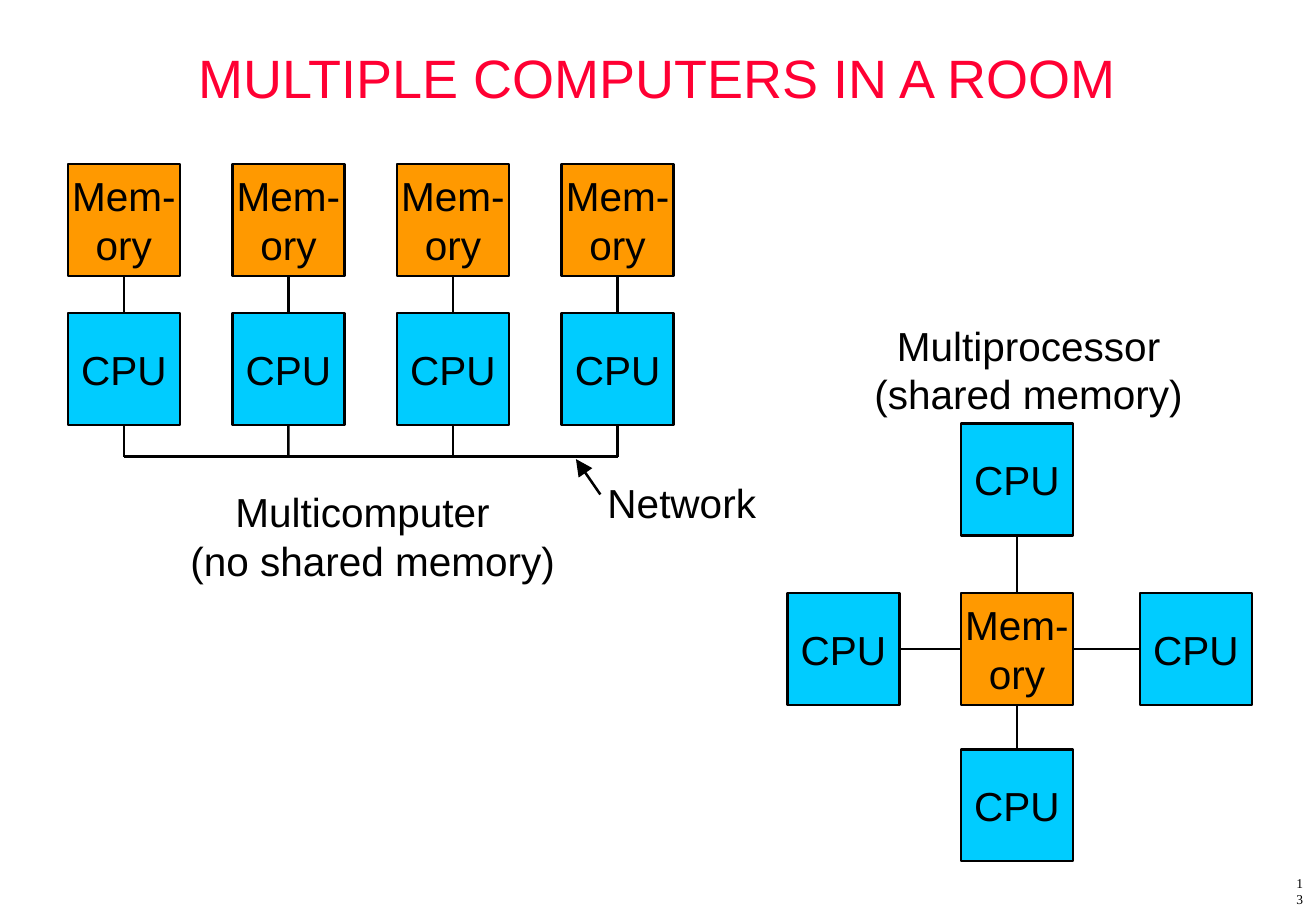
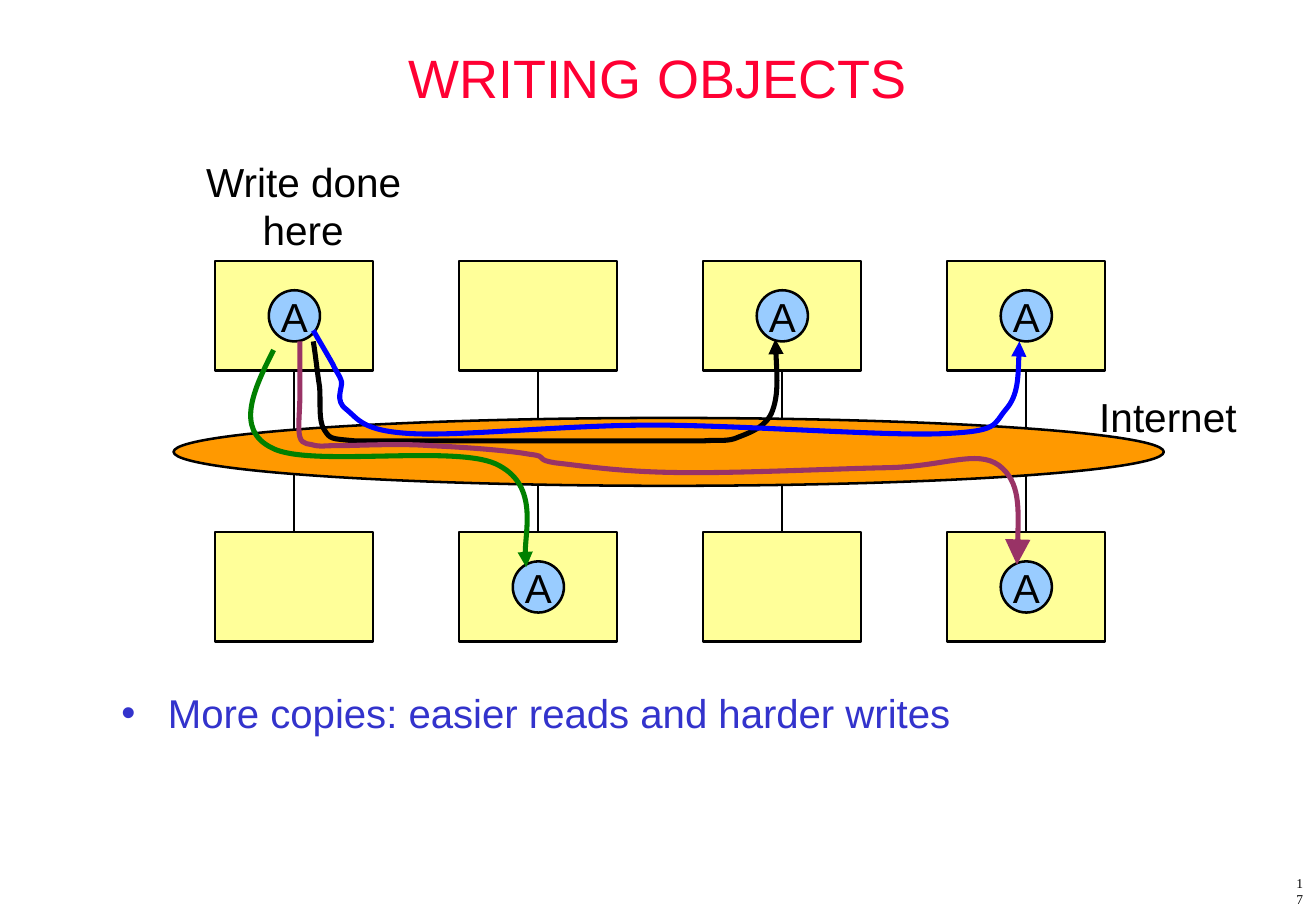
from dataclasses import dataclass
from typing import Any

from lxml import etree
from pptx import Presentation
from pptx import util as u
from pptx.dml.color import RGBColor
from pptx.enum import shapes, text
from pptx.oxml import ns

COLORS = {
    "title": "FF0033", "ink": "000000", "bullet": "3333CC",
    "cpu": "00CCFF", "memory": "FF9900", "internet": "FF9900",
    "node": "FFFF99", "object": "99CCFF",
    "green": "008000", "blue": "0000FF", "purple": "993366",
}
SANS, SERIF = "Arial", "Times New Roman"
BOX = 2.34
CPU, MEMORY = ["CPU"], ["Mem-", "ory"]
Point = tuple[float, float]


@dataclass
class Label:
    lines: list[str]
    left: float
    top: float
    width: float
    height: float
    first_indent: float = 0
    last_indent: float = 0


@dataclass
class Route:
    color: str
    head: str
    points: list[Point]


ROUTES = [
    Route("green", "med", [
        (5.72, 7.32), (5.31, 8.13), (4.9, 8.99), (5.69, 9.37),
        (6.45, 9.78), (9.47, 9.3), (10.36, 9.7),
        (11.25, 10.11), (10.9, 11.51), (11, 11.86)]),
    Route("ink", "med", [
        (6.55, 7.14), (6.6, 7.44), (6.63, 7.77), (6.68, 8.08),
        (6.71, 8.38), (6.65, 8.81), (6.78, 8.99),
        (6.91, 9.19), (6.91, 9.17), (7.42, 9.22),
        (9.85, 9.22), (12.28, 9.22), (14.71, 9.22),
        (15.01, 9.19), (15.21, 9.25), (15.44, 9.14),
        (15.7, 9.04), (16.03, 8.92), (16.15, 8.59),
        (16.28, 8.23), (16.23, 7.67), (16.21, 7.09)]),
    Route("blue", "med", [
        (6.55, 6.91), (6.71, 7.19), (6.86, 7.44), (6.96, 7.62),
        (7.04, 7.8), (7.09, 7.82), (7.14, 7.98),
        (7.16, 8.13), (6.99, 8.38), (7.24, 8.56),
        (7.49, 8.76), (7.57, 9.02), (8.64, 9.07),
        (9.7, 9.12), (11.81, 8.89), (13.64, 8.89),
        (15.49, 8.89), (18.47, 9.12), (19.69, 9.07),
        (20.9, 9.02), (20.75, 8.89), (21.03, 8.56),
        (21.29, 8.26), (21.29, 7.7), (21.31, 7.14)]),
    Route("purple", "lg", [
        (6.27, 7.14), (6.27, 7.52), (6.27, 7.92), (6.27, 8.26),
        (6.27, 8.59), (6.22, 8.97), (6.27, 9.14),
        (6.32, 9.32), (6.48, 9.27), (6.6, 9.32),
        (6.73, 9.35), (6.65, 9.32), (7.06, 9.32),
        (7.47, 9.32), (8.33, 9.27), (8.99, 9.32),
        (9.68, 9.35), (10.64, 9.42), (11.07, 9.5),
        (11.51, 9.55), (11.13, 9.6), (11.61, 9.68),
        (12.09, 9.73), (12.88, 9.86), (14.05, 9.88),
        (15.21, 9.91), (17.45, 9.8), (18.59, 9.78),
        (19.74, 9.75), (20.42, 9.4), (20.88, 9.73),
        (21.34, 10.08), (21.29, 10.95), (21.26, 11.81)]),
]


def rgb(name: str) -> RGBColor:
    return RGBColor.from_string(COLORS[name])


def style_line(line: Any, color: str = "ink", width: float = 1.5) -> None:
    line.color.rgb = rgb(color)
    line.width = u.Pt(width)


def add_arrowhead(line: Any, size: str) -> None:
    etree.SubElement(line._get_or_add_ln(), ns.qn("a:tailEnd"),
                     type="triangle", w=size, len=size)


def write(frame: Any, lines: list[str], size: float = 24, color: str = "ink",
          font: str = SANS, align: Any = text.PP_ALIGN.CENTER) -> None:
    for number, line in enumerate(lines):
        paragraph = frame.add_paragraph() if number else frame.paragraphs[0]
        paragraph.text = line
        paragraph.alignment = align
        paragraph.font.size = u.Pt(size)
        paragraph.font.name = font
        paragraph.font.color.rgb = rgb(color)


def add_frame(slide: Any, left: float, top: float, width: float,
              height: float, wrap: bool = True) -> Any:
    frame = slide.shapes.add_textbox(
        u.Cm(left), u.Cm(top), u.Cm(width), u.Cm(height)).text_frame
    frame.word_wrap = wrap
    return frame


def add_label(slide: Any, label: Label) -> None:
    frame = add_frame(slide, label.left, label.top, label.width, label.height, False)
    write(frame, label.lines, align=text.PP_ALIGN.LEFT)
    for position, indent in [(0, label.first_indent), (-1, label.last_indent)]:
        if indent:
            properties = frame.paragraphs[position]._p.get_or_add_pPr()
            properties.set("marL", str(u.Cm(indent)))


def add_block(slide: Any, left: float, top: float, width: float, height: float,
              fill: str, lines: list[str] | None = None,
              outline: Any = shapes.MSO_SHAPE.RECTANGLE) -> Any:
    block = slide.shapes.add_shape(
        outline, u.Cm(left), u.Cm(top), u.Cm(width), u.Cm(height))
    block.shadow.inherit = False
    block.fill.solid()
    block.fill.fore_color.rgb = rgb(fill)
    style_line(block.line)
    if lines:
        block.text_frame.word_wrap = False
        block.text_frame.vertical_anchor = text.MSO_ANCHOR.MIDDLE
        write(block.text_frame, lines)
    return block


def add_cpu(slide: Any, left: float, top: float) -> Any:
    return add_block(slide, left, top, BOX, BOX, "cpu", CPU)


def add_memory(slide: Any, left: float, top: float) -> Any:
    return add_block(slide, left, top, BOX, BOX, "memory", MEMORY)


def add_line(slide: Any, start: Point = (0, 0), end: Point = (0, 0)) -> Any:
    line = slide.shapes.add_connector(
        shapes.MSO_CONNECTOR.STRAIGHT, *map(u.Cm, start + end))
    style_line(line.line)
    etree.SubElement(line._element.spPr, ns.qn("a:effectLst"))
    return line


def join(slide: Any, first: Any, first_side: int, second: Any, second_side: int) -> None:
    link = add_line(slide)
    link.begin_connect(first, first_side)
    link.end_connect(second, second_side)


def add_route(slide: Any, route: Route) -> None:
    start, *rest = [(u.Cm(x), u.Cm(y)) for x, y in route.points]
    builder = slide.shapes.build_freeform(*start)
    builder.add_line_segments(rest, close=False)
    curve = builder.convert_to_shape()
    curve.shadow.inherit = False
    curve.fill.background()
    style_line(curve.line, route.color, 3)
    add_arrowhead(curve.line, route.head)
    outline = curve._element.find(".//" + ns.qn("a:path"))
    segments = outline.findall(ns.qn("a:lnTo"))
    for first in range(0, len(segments), 3):
        bezier = etree.SubElement(outline, ns.qn("a:cubicBezTo"))
        for segment in segments[first:first + 3]:
            bezier.append(segment[0])
            outline.remove(segment)


def add_slide(deck: Any, title: str, number: int) -> Any:
    slide = deck.slides.add_slide(deck.slide_layouts[6])
    heading = add_frame(slide, 2.06, 0.43, 23.37, BOX)
    heading.vertical_anchor = text.MSO_ANCHOR.MIDDLE
    write(heading, [title], 32, "title")
    footer = add_frame(slide, 26.85, 18.36, 0.56, 0.56)
    footer.vertical_anchor = text.MSO_ANCHOR.MIDDLE
    write(footer, [str(number)], 8, font=SERIF, align=text.PP_ALIGN.RIGHT)
    return slide


def build_computers(deck: Any) -> None:
    slide = add_slide(deck, "MULTIPLE COMPUTERS IN A ROOM", 13)
    lefts = [1.42 + 3.44 * column for column in range(4)]
    network_y = 9.55
    for left in lefts:
        memory = add_memory(slide, left, 3.43)
        cpu = add_cpu(slide, left, 6.55)
        join(slide, memory, 2, cpu, 0)
        middle = left + BOX / 2
        add_line(slide, (middle, 6.55 + BOX), (middle, network_y)).begin_connect(cpu, 2)
    add_line(slide, (lefts[0] + BOX / 2, network_y), (lefts[-1] + BOX / 2, network_y))
    pointer = add_line(slide, (12.55, 10.34), (12.04, 9.6))
    add_arrowhead(pointer.line, "lg")

    shared = add_memory(slide, 20.09, 12.4)
    for side, left, top in [(0, 20.09, 8.86), (1, 16.46, 12.4),
                            (2, 20.09, 15.67), (3, 23.83, 12.4)]:
        join(slide, shared, side, add_cpu(slide, left, top), (side + 2) % 4)

    for label in [
        Label(["Multicomputer", "(no shared memory)"], 3.73, 10.06, 8.13, 2.29, 0.94),
        Label(["Multiprocessor", "(shared memory)"], 18.03, 6.58, 6.96, 2.29, 0.47),
        Label(["Network"], 12.45, 9.88, 3.61, 1.27),
    ]:
        add_label(slide, label)


def build_objects(deck: Any) -> None:
    slide = add_slide(deck, "WRITING OBJECTS", 17)
    oval = shapes.MSO_SHAPE.OVAL
    tops = (5.46, 11.13)
    holders = {(0, 0), (0, 2), (0, 3), (1, 1), (1, 3)}
    for column in range(4):
        left = 4.5 + 5.1 * column
        upper, lower = [add_block(slide, left, top, 3.3, 2.29, "node") for top in tops]
        join(slide, upper, 2, lower, 0)
        for row, top in enumerate(tops):
            if (row, column) in holders:
                add_block(slide, left + 1.12, top + 0.61, 1.07, 1.07,
                          "object", ["A"], oval)
    add_block(slide, 3.63, 8.74, 20.7, 1.42, "internet", outline=oval)
    add_label(slide, Label(["Write done", "here"], 4.06, 3.15, 4.6, 2.29, last_indent=1.18))
    add_label(slide, Label(["Internet"], 22.73, 8.08, 3.38, 1.27))
    for route in ROUTES:
        add_route(slide, route)

    remark = add_frame(slide, 2.29, 14.27, 23.39, 1.27)
    properties = remark.paragraphs[0]._p.get_or_add_pPr()
    properties.set("marL", str(u.Cm(0.97)))
    properties.set("indent", str(u.Cm(-0.97)))
    etree.SubElement(properties, ns.qn("a:buFont"), typeface=SANS)
    etree.SubElement(properties, ns.qn("a:buChar"), char="•")
    write(remark, ["More copies: easier reads and harder writes"], 23.8, "bullet",
          align=text.PP_ALIGN.LEFT)


def main() -> None:
    deck = Presentation()
    deck.slide_width, deck.slide_height = u.Cm(27.51), u.Cm(19.05)
    build_computers(deck)
    build_objects(deck)
    deck.save("out.pptx")


if __name__ == "__main__":
    main()
